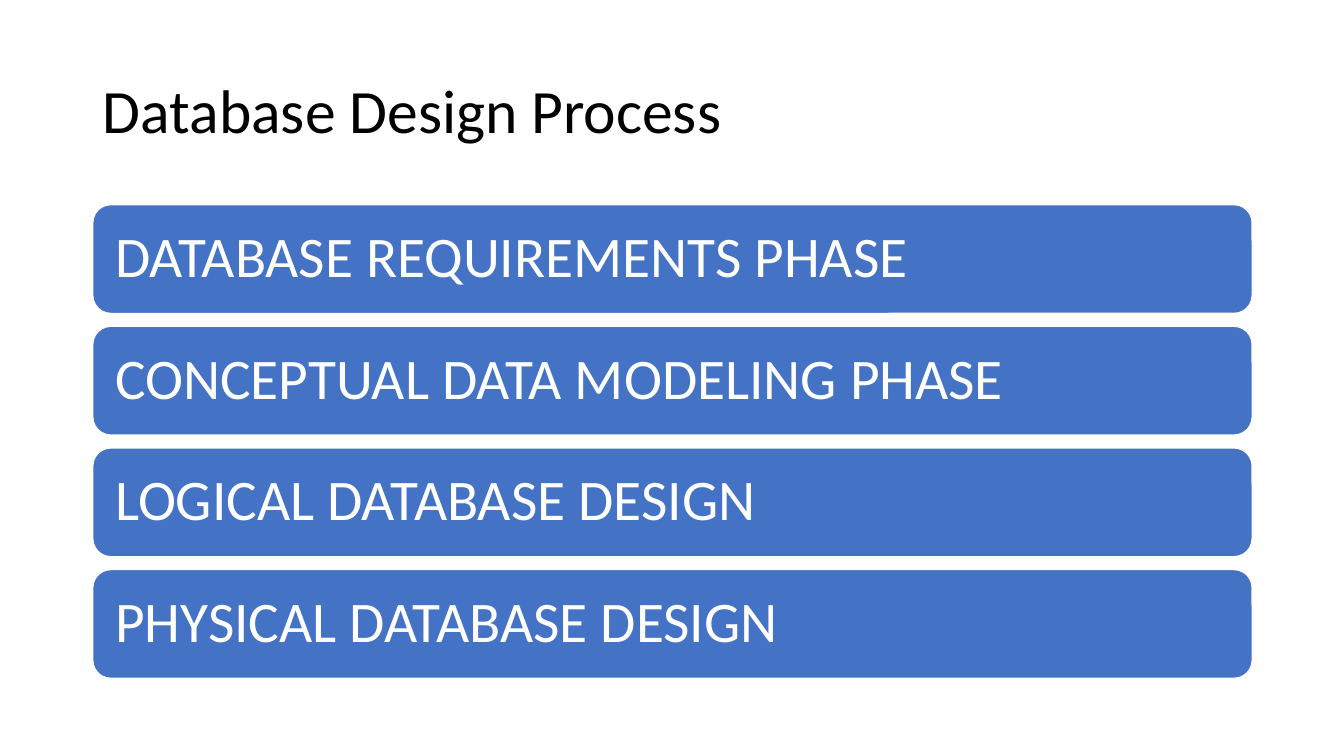
"""Build a slide listing the four phases of the database design process."""
import dataclasses

import pptx
import pptx.dml.color
import pptx.enum.shapes
import pptx.enum.text
import pptx.util

Inches = pptx.util.Inches
Pt = pptx.util.Pt
RGB = pptx.dml.color.RGBColor


@dataclasses.dataclass(frozen=True)
class Theme:
    font: str = "Calibri"
    title_size: int = 44
    phase_size: int = 41
    black: RGB = RGB(0x00, 0x00, 0x00)
    white: RGB = RGB(0xFF, 0xFF, 0xFF)
    blue: RGB = RGB(0x44, 0x72, 0xC4)


theme = Theme()


def write(tf, text, size, color):
    tf.word_wrap = True
    tf.auto_size = pptx.enum.text.MSO_AUTO_SIZE.NONE
    tf.vertical_anchor = pptx.enum.text.MSO_ANCHOR.MIDDLE
    p = tf.paragraphs[0]
    p.alignment = pptx.enum.text.PP_ALIGN.LEFT
    p.line_spacing = 0.9
    r = p.add_run()
    r.text = text
    r.font.name = theme.font
    r.font.size = Pt(size)
    r.font.color.rgb = color


prs = pptx.Presentation()
prs.slide_width = Inches(13.33)
prs.slide_height = Inches(7.5)
s = prs.slides.add_slide(prs.slide_layouts[5])

left, width = 0.92, 11.5

title = s.shapes.title
title.left, title.top = Inches(left), Inches(0.4)
title.width, title.height = Inches(width), Inches(1.45)
write(title.text_frame, "Database Design Process", theme.title_size, theme.black)

phases = [
    "DATABASE REQUIREMENTS PHASE",
    "CONCEPTUAL DATA MODELING PHASE",
    "LOGICAL DATABASE DESIGN",
    "PHYSICAL DATABASE DESIGN",
]
first_top, last_top, bar_height = 2.03, 5.65, 1.08
pitch = (last_top - first_top) / (len(phases) - 1)

for i, phase in enumerate(phases):
    sp = s.shapes.add_shape(
        pptx.enum.shapes.MSO_SHAPE.ROUNDED_RECTANGLE,
        Inches(left), Inches(first_top + i * pitch),
        Inches(width), Inches(bar_height),
    )
    sp.shadow.inherit = False
    sp.fill.solid()
    sp.fill.fore_color.rgb = theme.blue
    sp.line.color.rgb = theme.white
    sp.line.width = Pt(1)
    tf = sp.text_frame
    tf.margin_left = tf.margin_right = Inches(0.17)
    tf.margin_top = tf.margin_bottom = Inches(0.17)
    write(tf, phase, theme.phase_size, theme.white)

prs.save("out.pptx")
